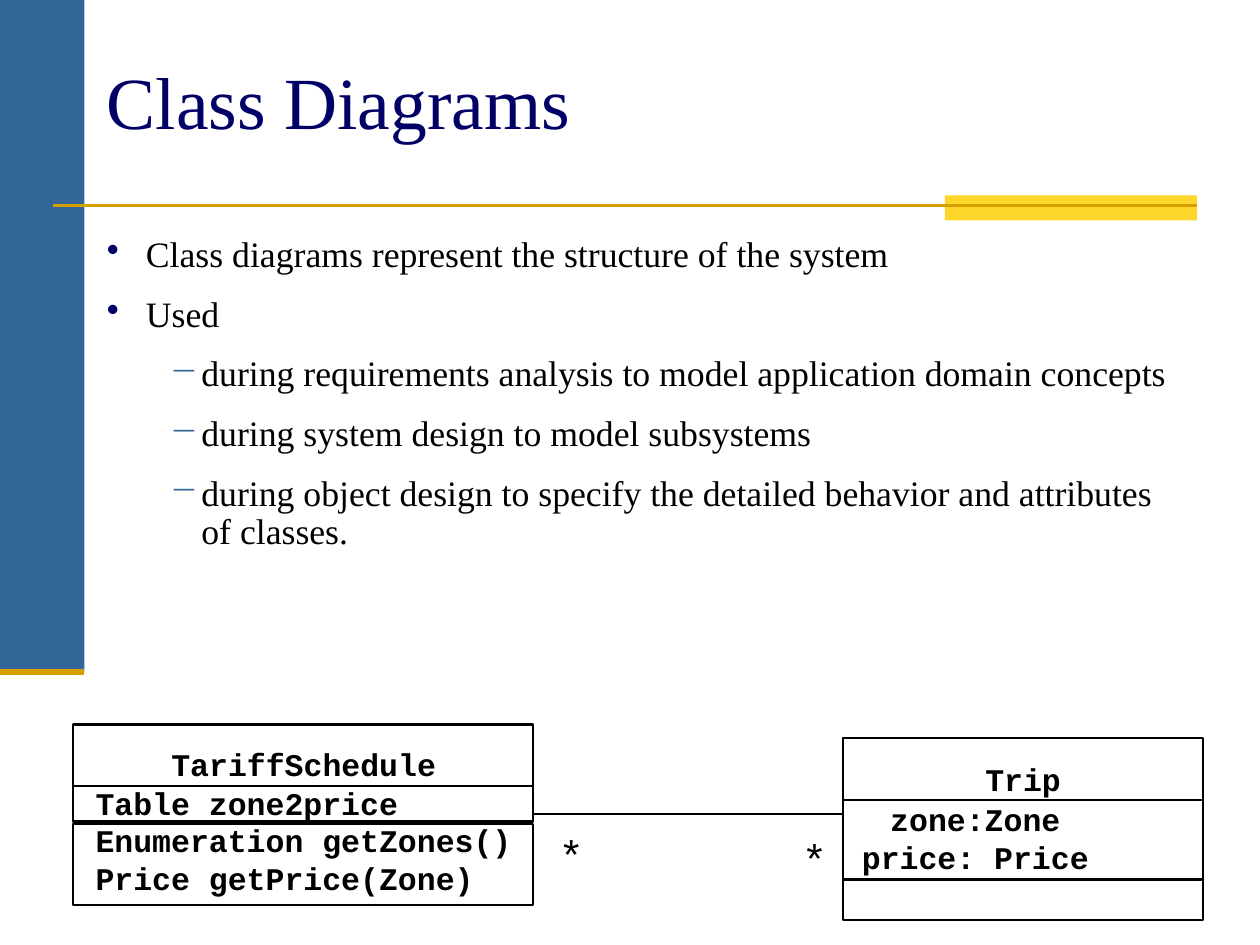
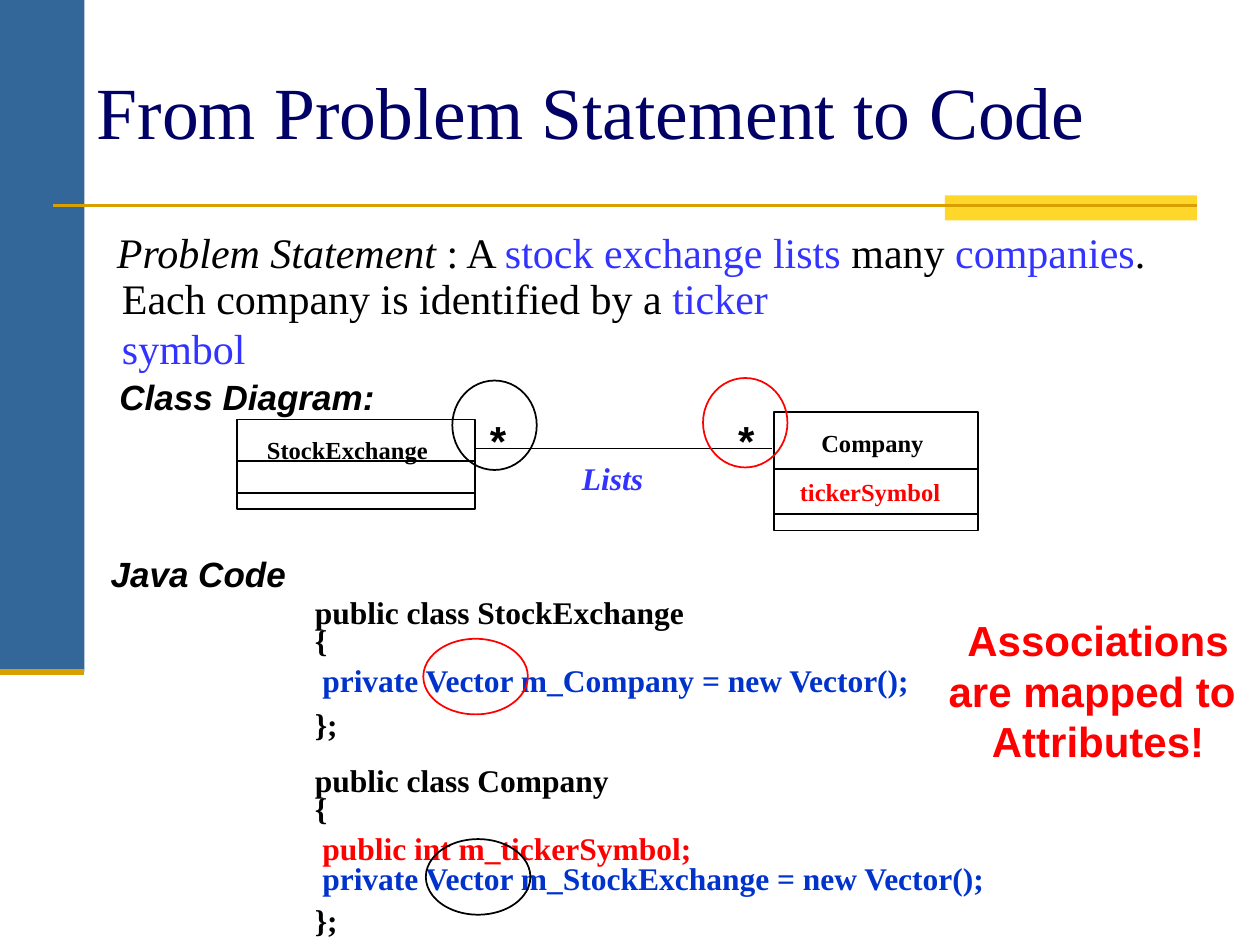
from dataclasses import dataclass

from pptx import Presentation
from pptx.dml.color import RGBColor
from pptx.enum.shapes import MSO_CONNECTOR as Connector, MSO_SHAPE as Shape
from pptx.enum.text import MSO_ANCHOR as Anchor, PP_ALIGN as Align
from pptx.oxml.ns import qn
from pptx.util import Inches, Pt
from lxml.etree import SubElement


@dataclass(frozen=True)
class Theme:
    band: str = "336699"
    accent: str = "FFD72B"
    rule: str = "D89F00"
    title: str = "000066"
    ink: str = "000000"
    term: str = "3333FF"
    code: str = "0033CC"
    alert: str = "FF0000"
    serif: str = "Times New Roman"
    sans: str = "Arial"
    mono: str = "Courier New"
    title_size: float = 42
    large: float = 24
    body_size: float = 20.4
    heading: float = 20
    text_size: float = 18
    small: float = 14


THEME = Theme()

# Slide 1 content: (level, text)
BULLETS = [
    (0, "Class diagrams represent the structure of the system"),
    (0, "Used"),
    (1, "during requirements analysis to model application domain concepts"),
    (1, "during system design to model subsystems"),
    (1, "during object design to specify the detailed behavior and attributes of classes."),
]
BULLET_STYLES = [("•", THEME.title, 0.31, 0.31), ("−", THEME.band, 0.75, 0.25)]

# Class boxes: left, width and the (top, height) of each compartment
CLASS_BOXES = [
    (0.58, 3.65, [(5.75, 0.49), (6.24, 0.28), (6.54, 0.64)]),
    (6.69, 2.86, [(5.86, 0.49), (6.35, 0.63), (6.98, 0.32)]),
]
CLASS_NAMES = [("TariffSchedule", (1.36, 5.91, 2.1, 0.3)), ("Trip", (7.82, 6.03, 0.6, 0.3))]
TARIFF_MEMBERS = ["Table zone2price", "Enumeration getZones()", "Price getPrice(Zone)"]
TRIP_ATTRIBUTES = ["zone:Zone", "price: Price"]

# Slide 2 content: paragraphs of (text, format) spans
STATEMENT = [
    ("Problem Statement", {"italic": True}),
    (" : A ", {}),
    ("stock exchange lists", {"color": THEME.term}),
    (" many ", {}),
    ("companies", {"color": THEME.term}),
    (".", {}),
]
IDENTIFIER = [
    ("Each company is identified by a ", {}),
    ("ticker symbol", {"color": THEME.term}),
]
HEADINGS = [("Class Diagram:", 0.85, 2.93, 1), ("Java Code", 0.78, 4.27, 1.2)]

# Outlined class: left, top, width, height and the heights of its dividers
CLASS_OUTLINES = [
    (1.88, 3.33, 1.89, 0.71, (3.66, 3.91)),
    (6.14, 3.27, 1.62, 0.94, (3.72, 4.08)),
]
CLASS_LABELS = [
    ("StockExchange", 2.02, 3.4, THEME.ink),
    ("Company", 6.42, 3.35, THEME.ink),
    ("tickerSymbol", 6.25, 3.74, THEME.alert),
]
CODE_LEFT, MEMBER_INDENT = 2.4, 0.06
CODE = [  # text, top, indent level, colour
    ("public class StockExchange", 4.6, 0, THEME.ink),
    ("{", 4.82, 0, THEME.ink),
    ("private Vector m_Company = new Vector();", 5.14, 1, THEME.code),
    ("};", 5.49, 0, THEME.ink),
    ("public class Company", 5.93, 0, THEME.ink),
    ("{", 6.15, 0, THEME.ink),
    ("public int m_tickerSymbol;", 6.47, 1, THEME.alert),
    ("private Vector m_StockExchange = new Vector();", 6.71, 1, THEME.code),
    ("};", 7.04, 0, THEME.ink),
]
MARK_SIZE, CODE_MARK_SIZE = (0.67, 0.71), (0.83, 0.6)
MARKS = [  # left, top, size, colour
    (3.59, 3.02, MARK_SIZE, THEME.ink),
    (3.38, 6.66, CODE_MARK_SIZE, THEME.ink),
    (5.58, 3.0, MARK_SIZE, THEME.alert),
    (3.36, 5.07, CODE_MARK_SIZE, THEME.alert),
]
CONCLUSION = ["Associations", "are mapped to ", "Attributes!"]


def rgb(color):
    return RGBColor.from_string(color)


def add_text(page, at, paras, *, size=THEME.text_size, font=THEME.serif, color=THEME.ink,
             bold=False, italic=False, align=Align.LEFT, anchor=Anchor.TOP,
             spacing=1, inset=True, wrap=True):
    """Add a text box; each paragraph is a string or a list of (text, format) spans."""
    box = page.shapes.add_textbox(*map(Inches, at))
    frame = box.text_frame
    frame.word_wrap, frame.vertical_anchor = wrap, anchor
    if not inset:
        frame.margin_left = frame.margin_right = frame.margin_top = frame.margin_bottom = 0
    for index, content in enumerate(paras):
        para = frame.paragraphs[0] if index == 0 else frame.add_paragraph()
        para.alignment, para.line_spacing = align, spacing
        spans = [(content, {})] if isinstance(content, str) else content
        for text, change in spans:
            span = para.add_run()
            span.text = text
            span.font.name, span.font.size = font, Pt(size)
            span.font.bold = bold
            span.font.italic = change.get("italic", italic)
            span.font.color.rgb = rgb(change.get("color", color))
    return box


def add_figure(page, kind, at, *, fill=None, line=None, width=1):
    figure = page.shapes.add_shape(kind, *map(Inches, at))
    figure.shadow.inherit = False
    if fill:
        figure.fill.solid()
        figure.fill.fore_color.rgb = rgb(fill)
    else:
        figure.fill.background()
    if line:
        figure.line.color.rgb = rgb(line)
        figure.line.width = Pt(width)
    else:
        figure.line.fill.background()


def add_line(page, left, right, y, color=THEME.ink, width=1.0):
    line = page.shapes.add_connector(
        Connector.STRAIGHT, Inches(left), Inches(y), Inches(right), Inches(y))
    line.line.color.rgb = rgb(color)
    line.line.width = Pt(width)
    SubElement(line._element.spPr, qn("a:effectLst"))


def set_bullet(para, mark, color, margin, hanging):
    props = para._p.get_or_add_pPr()
    props.set("marL", str(Inches(margin)))
    props.set("indent", str(-Inches(hanging)))
    tint = SubElement(props, qn("a:buClr"))
    SubElement(tint, qn("a:srgbClr")).set("val", color)
    SubElement(props, qn("a:buChar")).set("char", mark)


def add_page(deck, title, left, top):
    """Start a page with the shared bands, rules and title style."""
    page = deck.slides.add_slide(deck.slide_layouts[6])
    add_figure(page, Shape.RECTANGLE, (0, 0, 0.67, 5.33), fill=THEME.band)
    add_figure(page, Shape.RECTANGLE, (7.5, 1.55, 2, 0.2), fill=THEME.accent)
    add_line(page, 0.42, 9.5, 1.63, THEME.rule, 1.5)
    add_line(page, 0, 0.67, 5.33, THEME.rule, 3.5)
    add_text(page, (left, top, 8.5, 1.25), [title], size=THEME.title_size,
             color=THEME.title, anchor=Anchor.MIDDLE)
    return page


def add_multiplicities(page, places, **style):
    for left, top in places:
        add_text(page, (left, top, 0.33, 0.5), ["*"], size=THEME.large,
                 font=THEME.sans, wrap=False, **style)


def build_class_diagrams(deck):
    page = add_page(deck, "Class Diagrams", 0.75, 0.17)

    # Bullets
    body = add_text(page, (0.75, 1.83, 8.75, 3.09), [text for _, text in BULLETS],
                    size=THEME.body_size, spacing=0.9)
    for para, (level, _) in zip(body.text_frame.paragraphs, BULLETS):
        para.level = level
        para.space_before = para.space_after = Pt(6)
        set_bullet(para, *BULLET_STYLES[level])

    # Class compartments and association
    for left, width, compartments in CLASS_BOXES:
        for top, height in compartments:
            add_figure(page, Shape.RECTANGLE, (left, top, width, height),
                       line=THEME.ink, width=1.25)
    add_line(page, 4.23, 6.69, 6.46, width=0.75)
    add_multiplicities(page, [(4.37, 6.52), (6.3, 6.55)],
                       align=Align.CENTER, anchor=Anchor.MIDDLE)

    # Class names and members
    mono = {"font": THEME.mono, "bold": True}
    centred = {**mono, "align": Align.CENTER, "inset": False, "wrap": False}
    for name, at in CLASS_NAMES:
        add_text(page, at, [name], **centred)
    add_text(page, (0.66, 6.17, 3.62, 1), TARIFF_MEMBERS, **mono)
    add_text(page, (6.84, 6.35, 1.8, 0.6), TRIP_ATTRIBUTES, **centred)


def build_problem_to_code(deck):
    page = add_page(deck, "From Problem Statement to Code", 0.67, 0.25)

    # Problem statement and headings
    add_text(page, (0.83, 1.75, 8.7, 0.5), [STATEMENT], size=THEME.large)
    add_text(page, (0.87, 2.11, 5.9, 0.9), [IDENTIFIER], size=THEME.large)
    for text, left, top, spacing in HEADINGS:
        add_text(page, (left, top, 2.5, 0.45), [text], size=THEME.heading,
                 font=THEME.sans, bold=True, italic=True, spacing=spacing)

    # Class diagram
    for left, top, width, height, dividers in CLASS_OUTLINES:
        add_figure(page, Shape.RECTANGLE, (left, top, width, height), line=THEME.ink)
        for y in dividers:
            add_line(page, left, left + width, y)
    for text, left, top, color in CLASS_LABELS:
        add_text(page, (left, top, 1.6, 0.33), [text], size=THEME.small,
                 color=color, bold=True)
    add_line(page, 3.77, 6.13, 3.56)
    add_text(page, (4.52, 3.59, 0.9, 0.4), ["Lists"], color=THEME.term,
             bold=True, italic=True)
    add_multiplicities(page, [(3.79, 3.24), (5.76, 3.24)], bold=True)

    # Java code
    for text, top, level, color in CODE:
        add_text(page, (CODE_LEFT + level * MEMBER_INDENT, top, 5.8, 0.46), [text],
                 color=color, bold=True, spacing=1.2)

    # Highlights and conclusion
    for left, top, size, color in MARKS:
        add_figure(page, Shape.OVAL, (left, top, *size), line=color)
    add_text(page, (7.43, 4.83, 2.57, 1.3), CONCLUSION, size=THEME.large,
             font=THEME.sans, color=THEME.alert, bold=True, align=Align.CENTER,
             anchor=Anchor.MIDDLE, wrap=False)


def main():
    deck = Presentation()
    deck.slide_width, deck.slide_height = Inches(10), Inches(7.5)
    build_class_diagrams(deck)
    build_problem_to_code(deck)
    deck.save("out.pptx")


if __name__ == "__main__":
    main()
